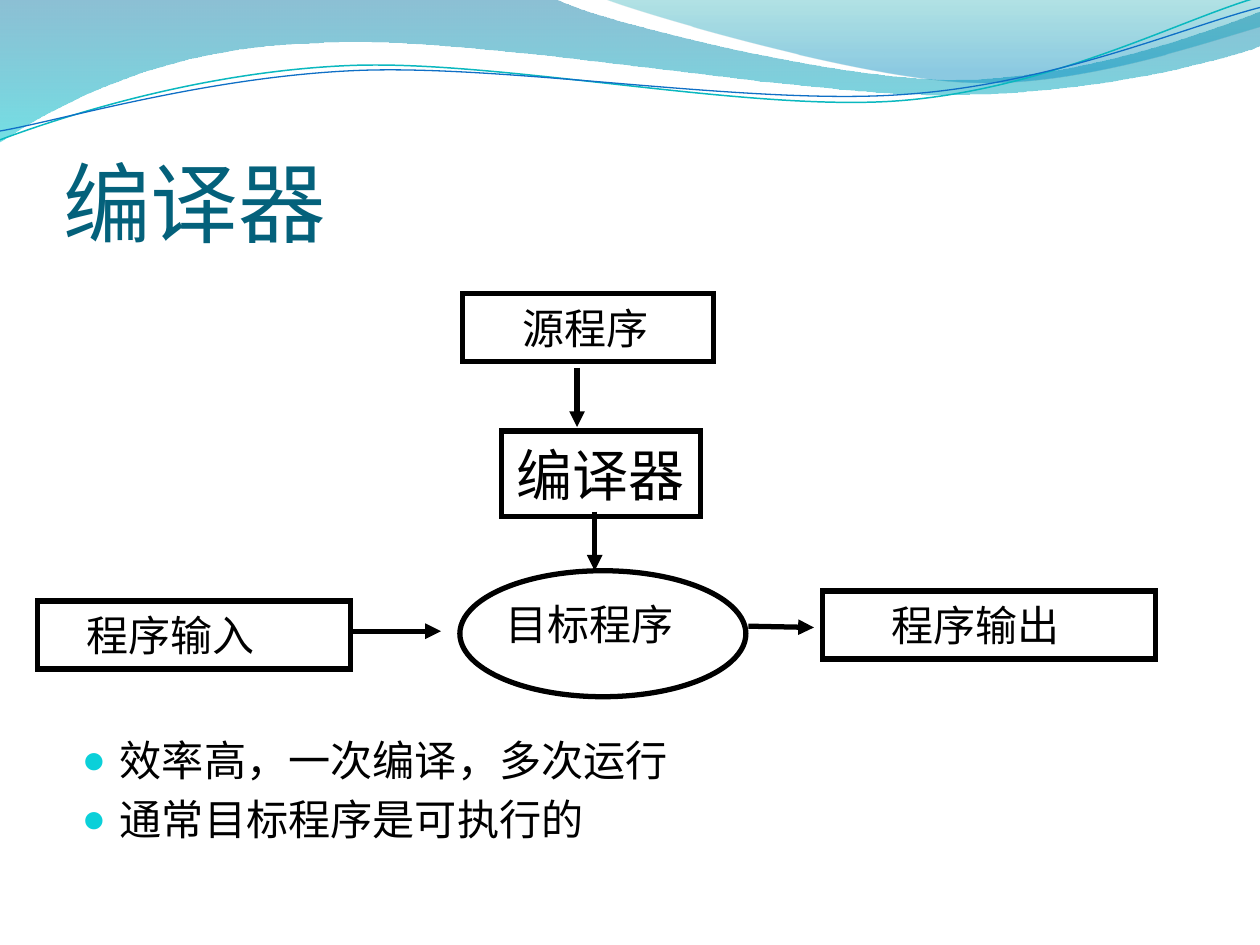
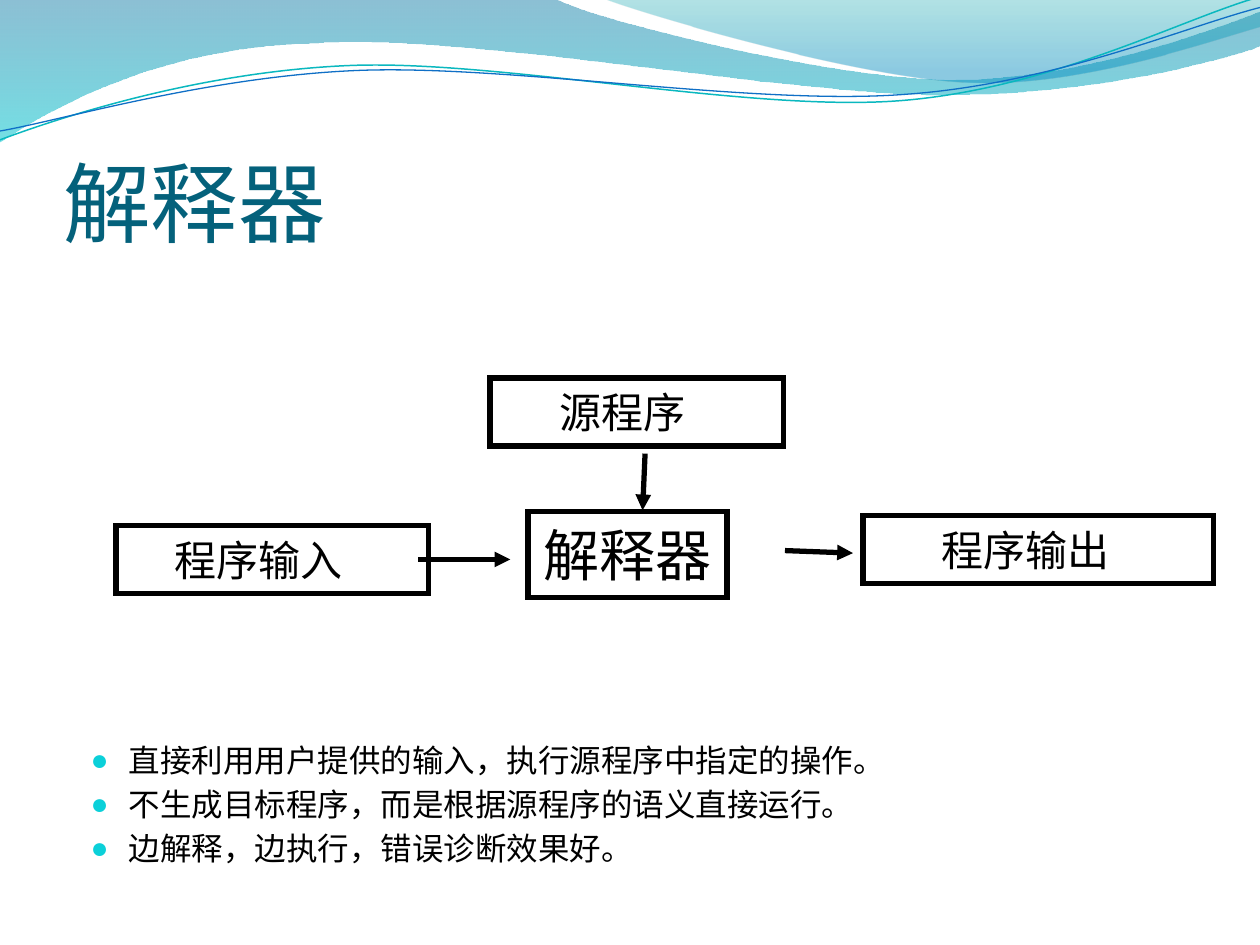
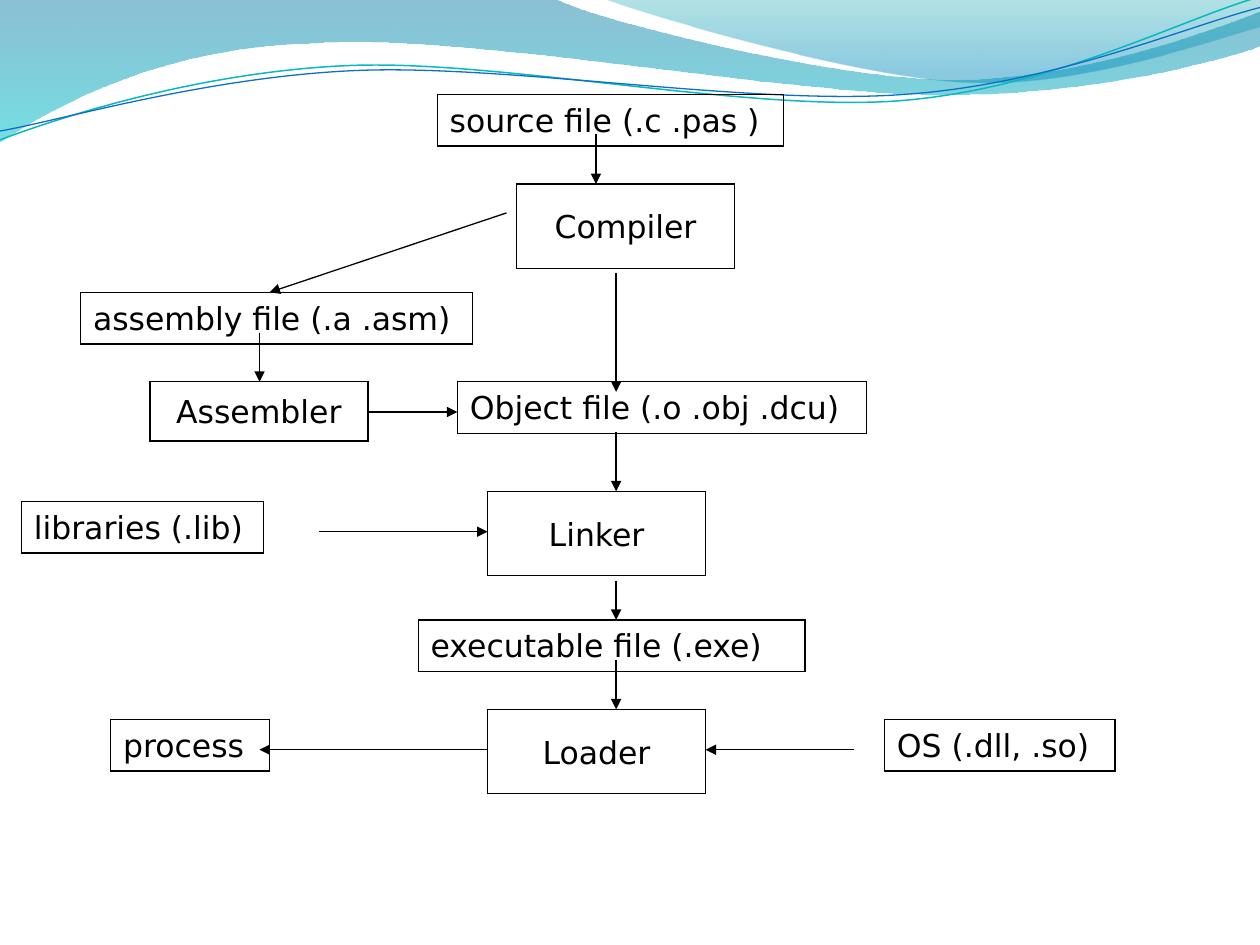
from math import cos, radians, sin

from lxml.etree import SubElement
from pptx import Presentation
from pptx.dml.color import RGBColor
from pptx.enum.shapes import MSO_CONNECTOR, MSO_SHAPE
from pptx.enum.text import MSO_ANCHOR, PP_ALIGN
from pptx.oxml.ns import qn
from pptx.util import Inches, Pt

BLACK = RGBColor(0x00, 0x00, 0x00)
TITLE_TEAL = RGBColor(0x04, 0x61, 0x7B)
BULLET_CYAN = RGBColor(0x0B, 0xD0, 0xD9)
WAVE_BLUE = RGBColor(0x00, 0x74, 0xA1)
WAVE_CYAN = RGBColor(0x00, 0xC6, 0xCF)
CREST_TEAL = RGBColor(0x00, 0xA1, 0xA9)
CREST_BLUE = RGBColor(0x00, 0x8B, 0xBF)
LINE_TEAL = RGBColor(0x0A, 0xB8, 0xBF)
LINE_BLUE = RGBColor(0x0F, 0x6F, 0xC6)

TITLE_FONT, CHINESE_SLIDE_FONT, FLOW_FONT = "Calibri", "TeX Gyre Pagella", "DejaVu Sans"
RECTANGLE, PROCESS = MSO_SHAPE.RECTANGLE, MSO_SHAPE.FLOWCHART_PROCESS

# Waves: one point makes a straight segment, three points a Bezier segment
WAVE_BANDS = [
    {"start": (0, 0),
     "segments": [[(4.4, -0.01)],
                  [(4.76, 0.17), (6.64, 0.63), (7.58, 0.63)],
                  [(8.53, 0.63), (9.58, 0.26), (10, 0.09)],
                  [(10.01, 0.36)],
                  [(9.83, 0.44), (8.7, 0.76), (7.46, 0.75)],
                  [(6.22, 0.75), (3.82, 0.28), (2.57, 0.34)],
                  [(1.29, 0.36), (0.46, 0.83), (-0.01, 1.13)],
                  [(0, 0)]],
     "stops": [(0, WAVE_BLUE, 45), (1, WAVE_CYAN, 55)]},
    {"start": (4.79, -0.01),
     "segments": [[(5.09, 0.11), (6.82, 0.62), (7.69, 0.65)],
                  [(8.56, 0.69), (9.61, 0.32), (10, 0.21)],
                  [(10, 0)],
                  [(4.79, -0.01)]],
     "stops": [(0, CREST_TEAL, 30), (0.8, CREST_BLUE, 45)]},
]
LINE_TILT = 357.3
WAVE_LINES = [
    {"start": (0, 1.11), "center": (4.99, 0.58), "color": LINE_TEAL, "width": 0.85,
     "segments": [[(0.48, 0.93), (1.58, 0.57), (2.77, 0.52)],
                  [(3.95, 0.47), (5.93, 0.89), (7.13, 0.8)],
                  [(8.33, 0.71), (9.38, 0.15), (9.98, -0.02)]]},
    {"start": (0, 1.04), "center": (5, 0.59), "color": LINE_BLUE, "width": 0.75,
     "segments": [[(0.47, 0.96), (1.64, 0.61), (2.83, 0.56)],
                  [(4.03, 0.51), (5.97, 0.84), (7.17, 0.75)],
                  [(8.36, 0.67), (9.41, 0.21), (10, 0.06)]]},
]

# Program boxes: text, left, top, width, height, text indent (None centres large text)
TRANSLATORS = [
    {"title": "编译器",
     "boxes": [("编译器", 3.98, 3.42, 1.58, 0.68, None),
               ("源程序", 3.67, 2.33, 1.99, 0.54, 0.38),
               ("程序输出", 6.53, 4.69, 2.64, 0.54, 0.45),
               ("程序输入", 0.3, 4.77, 2.48, 0.54, 0.29)],
     "target": {"ellipse": (3.65, 4.53, 2.27, 1), "label": (3.54, 4.7, 2.42, 0.5),
                "text": "目标程序", "indent": 0.37},
     "arrows": [(4.72, 4.06, 4.72, 4.53), (4.58, 2.92, 4.58, 3.39),
                (5.94, 4.97, 6.46, 4.98), (2.77, 5.01, 3.5, 5.01)],
     "list_at": (0.55, 5.78, 8.75, 0.83), "list_size": 24.1,
     "list": ["效率高，一次编译，多次运行", "通常目标程序是可执行的"]},
    {"title": "解释器",
     "boxes": [("解释器", 4.19, 4.06, 1.58, 0.68, None),
               ("源程序", 3.89, 3, 2.33, 0.54, 0.45),
               ("程序输入", 0.92, 4.17, 2.48, 0.54, 0.37),
               ("程序输出", 6.85, 4.09, 2.78, 0.54, 0.52)],
     "target": None,
     "arrows": [(5.12, 3.6, 5.1, 4.05), (3.32, 4.44, 4.05, 4.44),
                (6.23, 4.37, 6.77, 4.39)],
     "list_at": (0.62, 5.83, 8.75, 1.04), "list_size": 18,
     "list": ["直接利用用户提供的输入，执行源程序中指定的操作。",
              "不生成目标程序，而是根据源程序的语义直接运行。",
              "边解释，边执行，错误诊断效果好。"]},
]

# Tool chain: text, left, top, width (and height for tools)
FILE_HEIGHT, TOOL_WIDTH = 0.41, 1.73
FILES = [("source file (.c .pas )", 3.47, 0.75, 2.75),
         ("assembly file (.a .asm)", 0.64, 2.32, 3.11),
         ("Object file (.o .obj .dcu)", 3.63, 3.03, 3.25),
         ("libraries (.lib)", 0.17, 3.98, 1.92),
         ("executable file (.exe)", 3.32, 4.92, 3.07),
         ("process", 0.88, 5.71, 1.26),
         ("OS (.dll, .so)", 7.02, 5.71, 1.83)]
TOOLS = [("Compiler", 4.1, 1.46, 0.67), ("Assembler", 1.19, 3.03, 0.47),
         ("Linker", 3.87, 3.9, 0.67), ("Loader", 3.87, 5.63, 0.67)]
FLOW_ARROWS = [(4.73, 1.06, 4.73, 1.46), (4.02, 1.69, 2.14, 2.32),
               (2.06, 2.64, 2.06, 3.03), (2.92, 3.27, 3.63, 3.27),
               (2.53, 4.22, 3.87, 4.22), (4.89, 2.17, 4.89, 3.11),
               (4.89, 3.43, 4.89, 3.9), (4.89, 4.61, 4.89, 4.92),
               (4.89, 5.24, 4.89, 5.63), (6.78, 5.95, 5.6, 5.95),
               (3.87, 5.95, 2.06, 5.95)]


def inches(values):
    return [Inches(value) for value in values]


def turn(point, center, degrees):
    angle = radians(degrees)
    x, y = point[0] - center[0], point[1] - center[1]
    return (center[0] + x * cos(angle) - y * sin(angle),
            center[1] + x * sin(angle) + y * cos(angle))


def add_curve(slide, start, segments, close):
    """Outline all points with straight lines, then join each three into a Bezier segment."""
    builder = slide.shapes.build_freeform(*inches(start))
    builder.add_line_segments([inches(point) for segment in segments for point in segment],
                              close=close)
    shape = builder.convert_to_shape()
    shape.shadow.inherit = False
    lines = iter(list(shape.element.iter(qn("a:lnTo"))))
    for segment in segments:
        first, *others = [next(lines) for _ in segment]
        if others:
            first.tag = qn("a:cubicBezTo")
            for line in others:
                first.append(line[0])
                line.getparent().remove(line)
    return shape


def add_waves(slide, master):
    """Draw the waves, then move them to the master so that every slide shows them."""
    waves = []
    for band in WAVE_BANDS:
        shape = add_curve(slide, band["start"], band["segments"], close=True)
        shape.line.fill.background()
        shape.fill.gradient()
        shape.fill.gradient_angle = 270
        for stop, (position, color, opacity) in zip(shape.fill.gradient_stops, band["stops"]):
            stop.position = position
            stop.color.rgb = color
        for color_element, stop in zip(shape.element.iter(qn("a:srgbClr")), band["stops"]):
            SubElement(color_element, qn("a:alpha"), val=str(stop[2] * 1000))
        waves.append(shape)
    for wave_line in WAVE_LINES:
        level = [[turn(point, wave_line["center"], -LINE_TILT) for point in segment]
                 for segment in [[wave_line["start"]], *wave_line["segments"]]]
        shape = add_curve(slide, level[0][0], level[1:], close=False)
        shape.rotation = LINE_TILT
        shape.fill.background()
        shape.line.color.rgb = wave_line["color"]
        shape.line.width = Pt(wave_line["width"])
        waves.append(shape)
    for index, shape in enumerate(waves):
        shape.element.nvSpPr.cNvPr.id = 100 + index
        master.shapes.element.insert(2 + index, shape.element)


def write_text(shape, text, font, size, centred=False, indent=0, anchor=MSO_ANCHOR.MIDDLE):
    frame = shape.text_frame
    frame.word_wrap = True
    frame.vertical_anchor = anchor
    paragraph = frame.paragraphs[0]
    paragraph.text = text
    paragraph.alignment = PP_ALIGN.CENTER if centred else PP_ALIGN.LEFT
    paragraph.font.name, paragraph.font.size = font, Pt(size)
    paragraph.font.color.rgb = BLACK
    if indent:
        paragraph._p.get_or_add_pPr().set("marL", str(Inches(indent)))


def add_outline(slide, kind, place, width):
    shape = slide.shapes.add_shape(kind, *inches(place))
    shape.shadow.inherit = False
    shape.fill.background()
    shape.line.color.rgb = BLACK
    shape.line.width = Pt(width)
    SubElement(shape.element.spPr.find(qn("a:ln")), qn("a:miter"), lim="800000")
    return shape


def add_arrow(slide, ends, width):
    arrow = slide.shapes.add_connector(MSO_CONNECTOR.STRAIGHT, *inches(ends))
    arrow.line.color.rgb = BLACK
    arrow.line.width = Pt(width)
    properties = arrow.element.spPr
    SubElement(properties.find(qn("a:ln")), qn("a:tailEnd"), type="triangle")
    SubElement(properties, qn("a:effectLst"))


def place_shape(shape, place):
    shape.left, shape.top, shape.width, shape.height = inches(place)


def fill_title(title, text):
    place_shape(title, (0.5, 0.77, 9, 1.25))
    frame = title.text_frame
    frame.vertical_anchor = MSO_ANCHOR.BOTTOM
    frame.margin_left = frame.margin_right = frame.margin_bottom = 0
    frame.text = text
    paragraph = frame.paragraphs[0]
    paragraph.alignment = PP_ALIGN.LEFT
    paragraph.font.name, paragraph.font.size = TITLE_FONT, Pt(50)
    paragraph.font.color.rgb = TITLE_TEAL


def fill_list(body, content):
    place_shape(body, content["list_at"])
    body.text_frame.text = "\n".join(content["list"])
    for paragraph in body.text_frame.paragraphs:
        paragraph.font.name = CHINESE_SLIDE_FONT
        paragraph.font.size = Pt(content["list_size"])
        paragraph.font.color.rgb = BLACK
        properties = paragraph._p.get_or_add_pPr()
        properties.set("marL", str(Inches(0.3)))
        properties.set("indent", str(Inches(-0.3)))
        bullet = [SubElement(properties, qn("a:buClr")),
                  SubElement(properties, qn("a:buSzPct"), val="95000"),
                  SubElement(properties, qn("a:buChar"), char="●")]
        SubElement(bullet[0], qn("a:srgbClr"), val=str(BULLET_CYAN))
        for offset, element in enumerate(bullet):  # bullets precede the font
            properties.insert(offset, element)


def build_translator(slide, content):
    fill_title(slide.shapes.title, content["title"])
    fill_list(slide.placeholders[1], content)
    for text, *place, indent in content["boxes"]:
        box = add_outline(slide, RECTANGLE, place, 3)
        centred = indent is None
        write_text(box, text, CHINESE_SLIDE_FONT, 32 if centred else 24, centred, indent)
    target = content["target"]
    if target:
        add_outline(slide, MSO_SHAPE.OVAL, target["ellipse"], 3)
        label = slide.shapes.add_textbox(*inches(target["label"]))
        write_text(label, target["text"], CHINESE_SLIDE_FONT, 24, indent=target["indent"])
    for ends in content["arrows"]:
        add_arrow(slide, ends, 3)


def build_tool_chain(slide):
    for text, left, top, width in FILES:
        box = add_outline(slide, RECTANGLE, (left, top, width, FILE_HEIGHT), 0.75)
        write_text(box, text, FLOW_FONT, 18, anchor=MSO_ANCHOR.TOP)
    for text, left, top, height in TOOLS:
        box = add_outline(slide, PROCESS, (left, top, TOOL_WIDTH, height), 0.75)
        write_text(box, text, FLOW_FONT, 18, centred=True)
    for ends in FLOW_ARROWS:
        add_arrow(slide, ends, 0.75)


def main():
    presentation = Presentation()
    presentation.slide_width, presentation.slide_height = Inches(10), Inches(7.5)
    title_and_list, blank = presentation.slide_layouts[1], presentation.slide_layouts[6]
    for content in TRANSLATORS:
        build_translator(presentation.slides.add_slide(title_and_list), content)
    tool_chain = presentation.slides.add_slide(blank)
    add_waves(tool_chain, presentation.slide_master)
    build_tool_chain(tool_chain)
    presentation.save("out.pptx")


if __name__ == "__main__":
    main()
